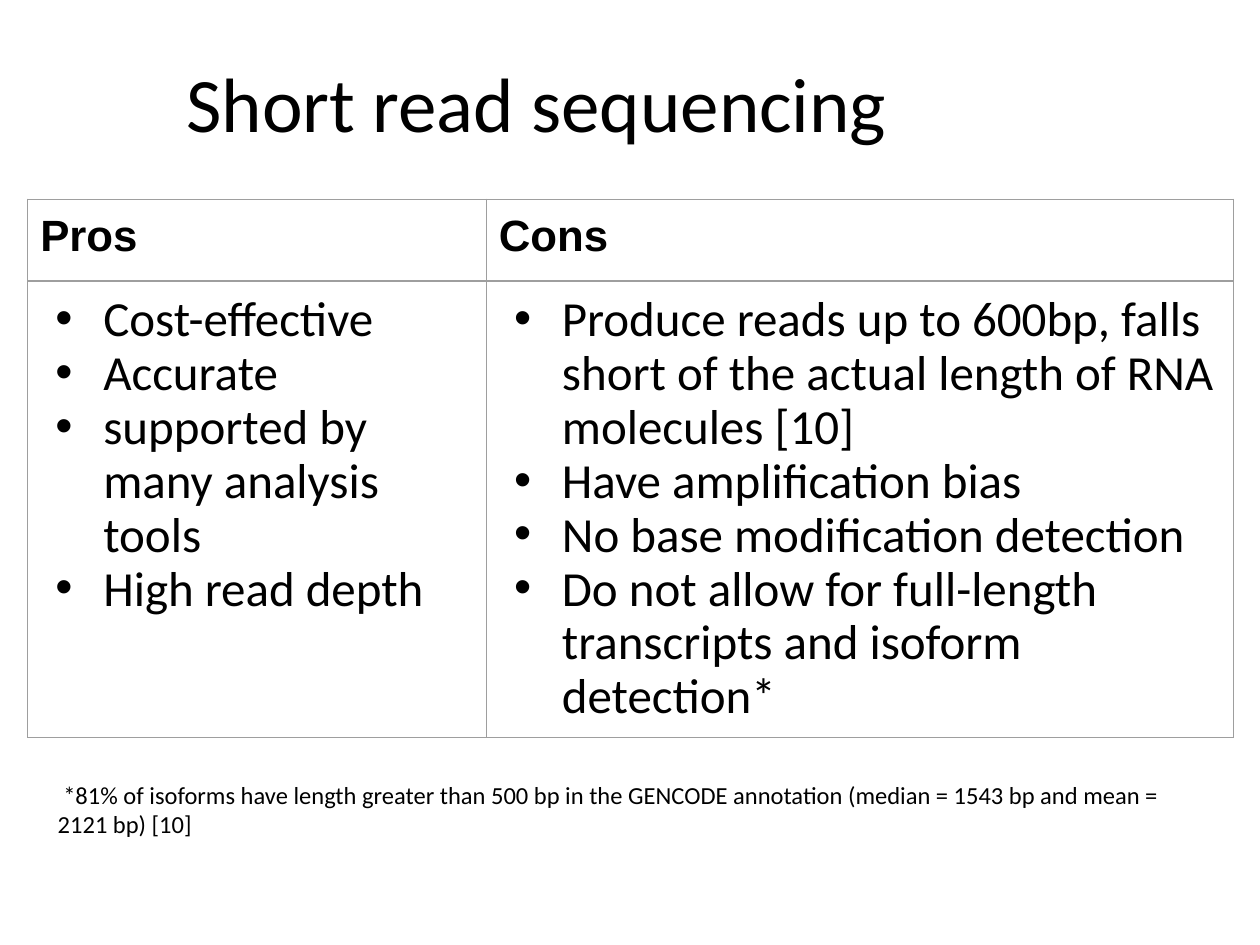
from lxml.etree import SubElement as Sub
from pptx import Presentation
from pptx.dml.color import RGBColor
from pptx.enum.text import MSO_ANCHOR as Anchor, PP_ALIGN as Align
from pptx.oxml import parse_xml
from pptx.oxml.ns import nsdecls, qn
from pptx.util import Inches, Pt

BLACK = RGBColor(0, 0, 0)
GREY = RGBColor(0x9E, 0x9E, 0x9E)

# Content
TITLE = "Short read sequencing"
TABLE = {
    "Pros": [
        "Cost-effective",
        "Accurate",
        "supported by many analysis tools",
        "High read depth",
    ],
    "Cons": [
        "Produce reads up to 600bp, falls short of the actual length of RNA molecules [10]",
        "Have amplification bias",
        "No base modification detection",
        "Do not allow for full-length transcripts and isoform detection*",
    ],
}
NOTE = (" *81% of isoforms have length greater than 500 bp in the GENCODE "
        "annotation (median = 1543 bp and mean = 2121 bp) [10]")

# Grid, in inches
WIDE, HIGH = 10, 7.5
COLS = [3.64, 5.93]
ROWS = [0.65, 3.51]
LEFT, TOP = 0.22, 1.58
PAD = 0.1


def add_run(para, text, size, font="Calibri", bold=False):
    run = para.add_run()
    run.text = text
    run.font.size = Pt(size)
    run.font.name = font
    run.font.bold = bold
    run.font.color.rgb = BLACK


def add_bullet(para):
    para.line_spacing = 0.9
    props = para._p.get_or_add_pPr()
    props.set("marL", str(Inches(0.5)))
    props.set("indent", str(Inches(-0.38)))
    color = Sub(props, qn("a:buClr"))
    Sub(color, qn("a:srgbClr"), val=str(BLACK))
    Sub(props, qn("a:buFont"), typeface="Arial")
    Sub(props, qn("a:buChar"), char="•")


def set_pad(box, pad):
    box.margin_left = box.margin_right = Inches(pad)
    box.margin_top = box.margin_bottom = Inches(pad)


def style_cell(cell):
    set_pad(cell, PAD)
    cell.fill.background()
    props = cell._tc.get_or_add_tcPr()
    for i, side in enumerate("LRTB"):
        props.insert(i, parse_xml(
            f'<a:ln{side} {nsdecls("a")} w="{Pt(0.75)}"><a:solidFill>'
            f'<a:srgbClr val="{GREY}"/></a:solidFill></a:ln{side}>'))


deck = Presentation()
deck.slide_width, deck.slide_height = Inches(WIDE), Inches(HIGH)
slide = deck.slides.add_slide(deck.slide_layouts[5])

# Title
title = slide.shapes.title
title.left, title.top = Inches(1.38), Inches(0.13)
title.width, title.height = Inches(WIDE - 1.38), Inches(1.45)
frame = title.text_frame
frame.vertical_anchor = Anchor.MIDDLE
para = frame.paragraphs[0]
para.alignment = Align.LEFT
para.line_spacing = 0.9
add_run(para, TITLE, 44)

# Table of pros and cons
table = slide.shapes.add_table(
    len(ROWS), len(COLS), Inches(LEFT), Inches(TOP),
    Inches(sum(COLS)), Inches(sum(ROWS))).table
table.horz_banding = False
for row, high in zip(table.rows, ROWS):
    row.height = Inches(high)
for i, (head, items) in enumerate(TABLE.items()):
    table.columns[i].width = Inches(COLS[i])
    top, body = table.cell(0, i), table.cell(1, i)
    style_cell(top)
    style_cell(body)
    add_run(top.text_frame.paragraphs[0], head, 25, "Arial", True)
    frame = body.text_frame
    for j, item in enumerate(items):
        para = frame.add_paragraph() if j else frame.paragraphs[0]
        add_bullet(para)
        add_run(para, item, 28)

# Footnote
note = slide.shapes.add_textbox(
    Inches(0.36), Inches(6.09), Inches(9.01), Inches(0.67))
frame = note.text_frame
frame.word_wrap = True
set_pad(frame, PAD)
add_run(frame.paragraphs[0], NOTE, 14)

deck.save("out.pptx")
